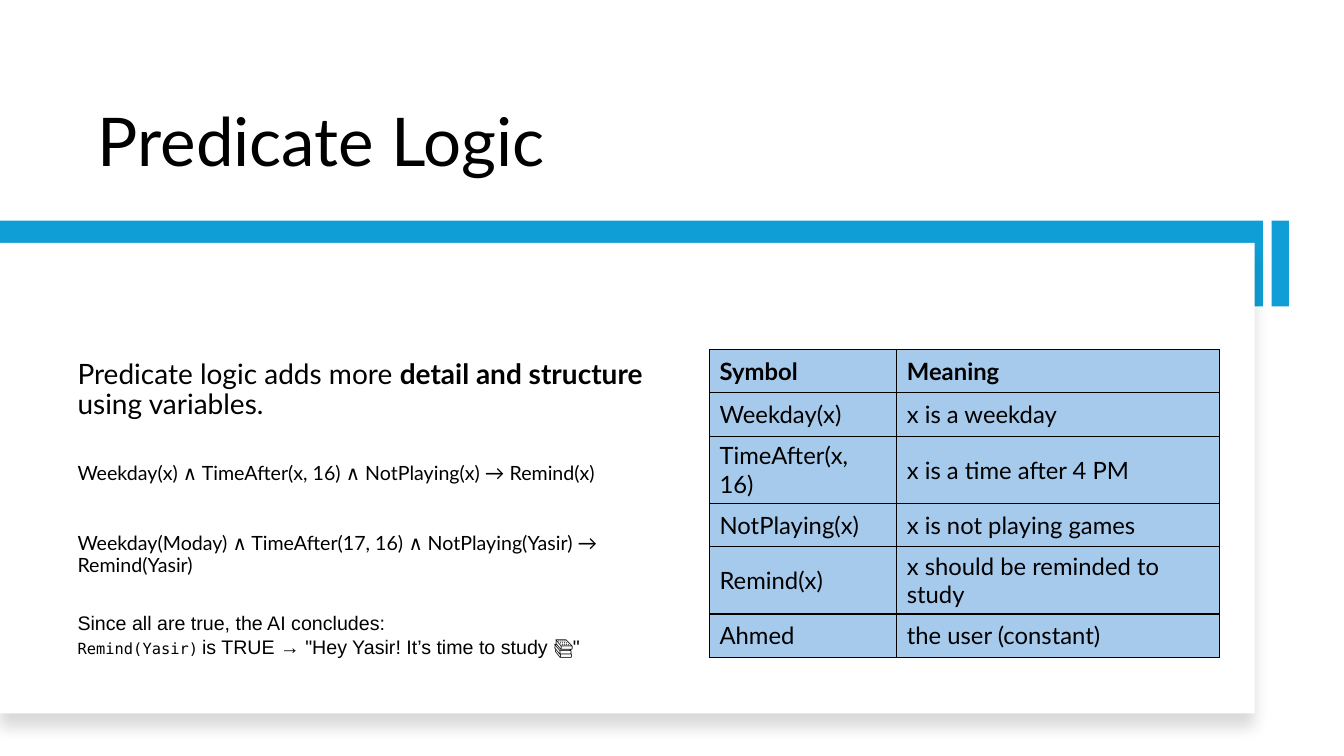
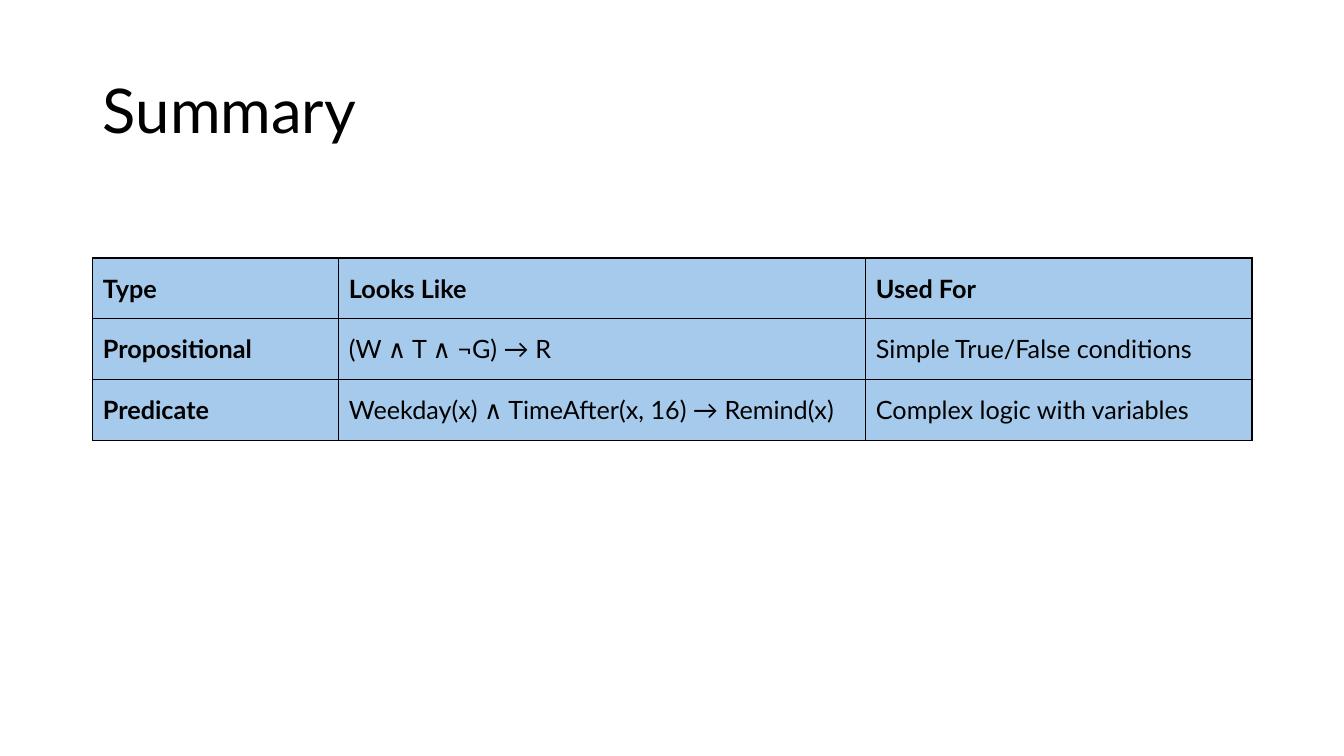
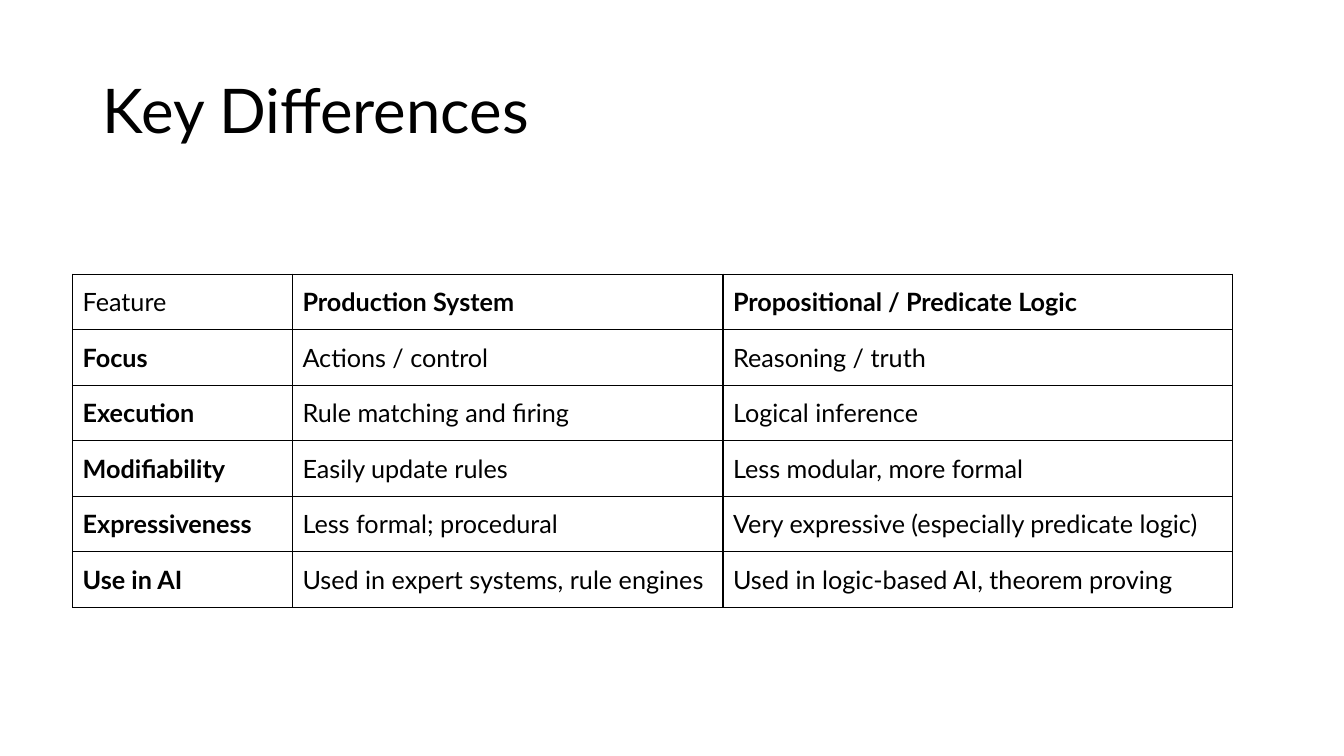
"""Build three slides on predicate logic, its summary and key differences."""
from lxml import etree
from pptx import Presentation
from pptx.dml.color import RGBColor
from pptx.enum.shapes import MSO_SHAPE
from pptx.enum.text import MSO_ANCHOR, MSO_AUTO_SIZE, PP_ALIGN
from pptx.oxml import parse_xml
from pptx.oxml.ns import nsdecls, qn
from pptx.util import Cm, Pt

RECTANGLE = MSO_SHAPE.RECTANGLE
MIDDLE, BOTTOM, TOP = MSO_ANCHOR.MIDDLE, MSO_ANCHOR.BOTTOM, MSO_ANCHOR.TOP
LEFT = PP_ALIGN.LEFT
NO_FIT = MSO_AUTO_SIZE.NONE
BLACK, WHITE, BLUE, PALE_BLUE = "000000", "FFFFFF", "0F9ED5", "A6CAEC"
CONTENT_LAYOUT, TITLE_LAYOUT = 1, 5
PLAIN_TITLE = {"at": (2.34, 1.02, 29.21, 3.68), "anchor": MIDDLE, "size": 44}

SLIDES = [
    {
        "title": "Predicate Logic",
        "layout": CONTENT_LAYOUT,
        "heading": {"at": (2.21, 1.07, 27.97, 3.61), "anchor": BOTTOM, "size": 48},
        "table": {"left": 17.88, "top": 8.81, "columns": (4.72, 8.13), "row": 1.09},
        "size": 17, "fill": PALE_BLUE, "bold_labels": False, "bold_corner": True,
        "cells": [
            ("Symbol", "Meaning"),
            ("Weekday(x)", "x is a weekday"),
            ("TimeAfter(x, 16)", "x is a time after 4 PM"),
            ("NotPlaying(x)", "x is not playing games"),
            ("Remind(x)", "x should be reminded to study"),
            ("Ahmed", "the user (constant)"),
        ],
    },
    {
        "title": "Summary",
        "layout": TITLE_LAYOUT,
        "heading": PLAIN_TITLE,
        "table": {"left": 2.34, "top": 6.5, "columns": (6.2, 13.28, 9.73), "row": 1.53},
        "size": 18, "fill": PALE_BLUE, "bold_labels": True, "bold_corner": True,
        "cells": [
            ("Type", "Looks Like", "Used For"),
            ("Propositional", "(W ∧ T ∧ ¬G) → R", "Simple True/False conditions"),
            ("Predicate", "Weekday(x) ∧ TimeAfter(x, 16) → Remind(x)",
             "Complex logic with variables"),
        ],
    },
    {
        "title": "Key Differences",
        "layout": TITLE_LAYOUT,
        "heading": PLAIN_TITLE,
        "table": {"left": 1.83, "top": 6.91, "columns": (5.54, 10.85, 12.83), "row": 1.4},
        "size": 18, "fill": None, "bold_labels": True, "bold_corner": False,
        "cells": [
            ("Feature", "Production System", "Propositional / Predicate Logic"),
            ("Focus", "Actions / control", "Reasoning / truth"),
            ("Execution", "Rule matching and firing", "Logical inference"),
            ("Modifiability", "Easily update rules", "Less modular, more formal"),
            ("Expressiveness", "Less formal; procedural",
             "Very expressive (especially predicate logic)"),
            ("Use in AI", "Used in expert systems, rule engines",
             "Used in logic-based AI, theorem proving"),
        ],
    },
]

BODY = [
    (0, 0.9, [("Predicate logic adds more ", {"size": 20}),
              ("detail and structure", {"size": 20, "bold": True}),
              (" using variables.", {"size": 20})]),
    (31, 0.9, [("Weekday(x) ∧ TimeAfter(x, 16) ∧ NotPlaying(x) → Remind(x)", {})]),
    (35, 0.9, [("Weekday(Moday) ∧ TimeAfter(17, 16) ∧ NotPlaying(Yasir) → Remind(Yasir)", {})]),
    (25, 1.0, [("Since all are true, the AI concludes:", {"font": "Arial"})]),
    (0, 1.0, [("Remind(Yasir)", {"size": 11, "font": "DejaVu Sans Mono"}),
              (" ", {"size": 10}),
              ("is TRUE → \"Hey Yasir! It’s time to study 📚\"", {"font": "Arial"})]),
]

BANDS = [
    ((0, 5.56, 31.83, 2.16), BLUE),
    ((0, 6.12, 31.62, 11.86), WHITE),
    ((32.05, 5.56, 0.43, 2.16), BLUE),
]


def paint(fill, color):
    fill.solid()
    fill.fore_color.rgb = RGBColor.from_string(color)


def add_text(para, text, size=14, bold=False, font="Lato", color=BLACK):
    span = para.add_run()
    span.text = text
    span.font.size = Pt(size)
    span.font.bold = bold
    span.font.name = font
    paint(span.font.fill, color)


deck = Presentation()
deck.slide_width, deck.slide_height = Cm(33.87), Cm(19.05)

for content in SLIDES:
    page = deck.slides.add_slide(deck.slide_layouts[content["layout"]])
    heading = content["heading"]
    title = page.shapes.title
    title.left, title.top, title.width, title.height = map(Cm, heading["at"])
    frame = title.text_frame
    frame.word_wrap = True
    frame.auto_size = NO_FIT
    frame.vertical_anchor = heading["anchor"]
    para = frame.paragraphs[0]
    para.alignment = LEFT
    para.line_spacing = 0.9
    add_text(para, content["title"], size=heading["size"])

    if content["layout"] == CONTENT_LAYOUT:
        body = page.placeholders[1]
        for place, color in BANDS:
            band = page.shapes.add_shape(RECTANGLE, *map(Cm, place))
            band.shadow.inherit = False
            paint(band.fill, color)
            band.line.fill.background()
            body.element.addprevious(band.element)
            if color == WHITE:
                effects = band.element.spPr.find(qn("a:effectLst"))
                effects.append(parse_xml(
                    f'<a:outerShdw {nsdecls("a")} blurRad="{Pt(11)}" dist="{Pt(10)}" '
                    f'dir="5400000" algn="t" rotWithShape="0"><a:srgbClr val="{BLACK}">'
                    '<a:alpha val="15000"/></a:srgbClr></a:outerShdw>'))

        body.left, body.top, body.width, body.height = map(Cm, (1.7, 8.94, 16.03, 8.43))
        frame = body.text_frame
        frame.word_wrap = True
        frame.auto_size = NO_FIT
        frame.vertical_anchor = TOP
        for index, (before, spacing, spans) in enumerate(BODY):
            para = frame.add_paragraph() if index else frame.paragraphs[0]
            properties = para._p.get_or_add_pPr()
            properties.set("marL", "0")
            properties.set("indent", "0")
            etree.SubElement(properties, qn("a:buNone"))
            para.space_before = Pt(before)
            para.line_spacing = spacing
            for text, style in spans:
                add_text(para, text, **style)

    grid = content["table"]
    cells = content["cells"]
    table = page.shapes.add_table(
        len(cells), len(grid["columns"]), Cm(grid["left"]), Cm(grid["top"]),
        Cm(sum(grid["columns"])), Cm(grid["row"] * len(cells))).table
    table.first_row = table.horz_banding = False
    for column, width in zip(table.columns, grid["columns"]):
        column.width = Cm(width)
    for row_index, texts in enumerate(cells):
        table.rows[row_index].height = Cm(grid["row"])
        for column_index, text in enumerate(texts):
            cell = table.cell(row_index, column_index)
            cell.vertical_anchor = MIDDLE
            for side in ("lnL", "lnR", "lnT", "lnB"):
                cell._tc.get_or_add_tcPr().append(parse_xml(
                    f'<a:{side} {nsdecls("a")} w="{Pt(1)}"><a:solidFill>'
                    f'<a:srgbClr val="{BLACK}"/></a:solidFill></a:{side}>'))
            if content["fill"]:
                paint(cell.fill, content["fill"])
            else:
                cell.fill.background()
            bold = row_index == 0 or (content["bold_labels"] and column_index == 0)
            if row_index == column_index == 0:
                bold = content["bold_corner"]
            add_text(cell.text_frame.paragraphs[0], text, size=content["size"], bold=bold)

deck.save("out.pptx")
